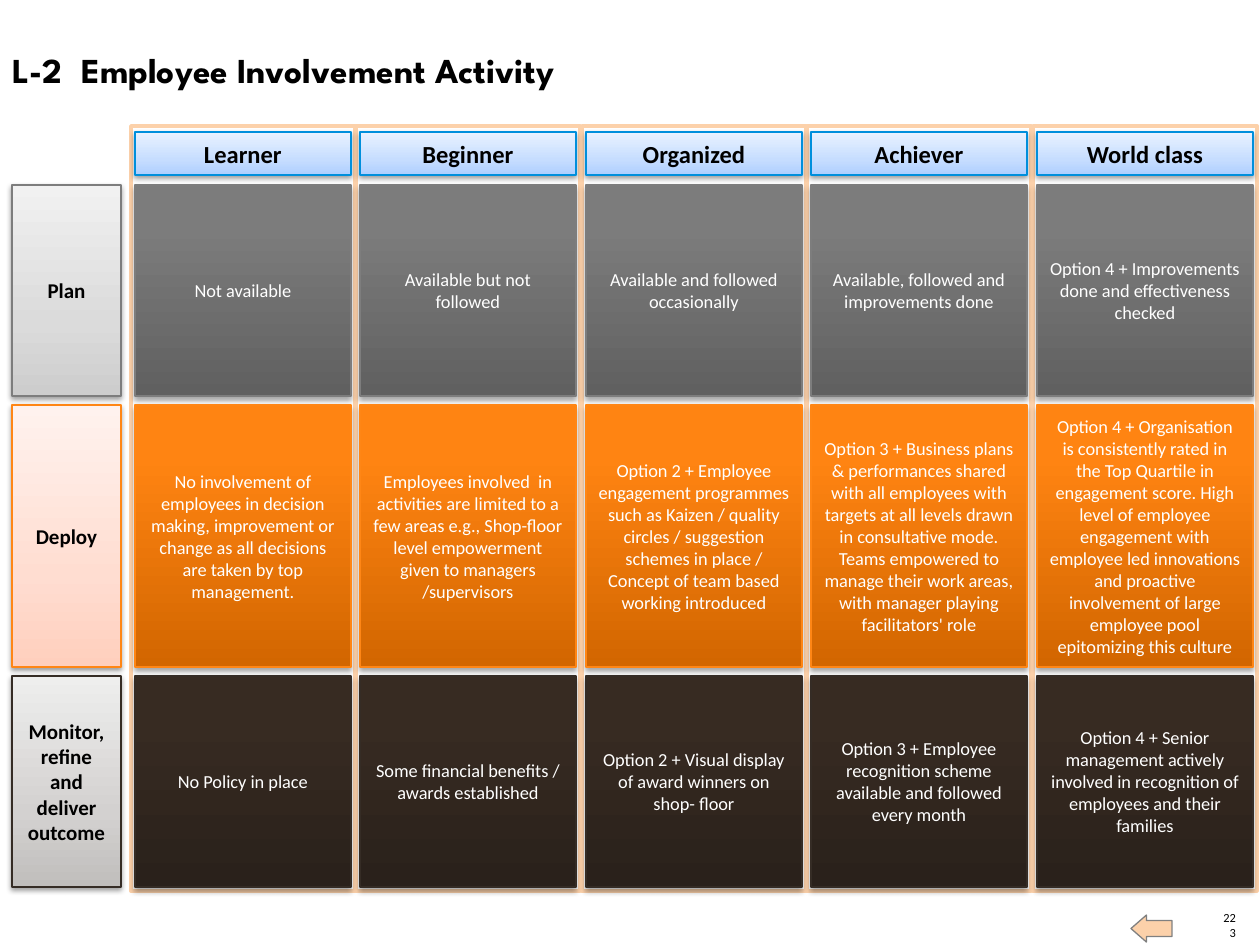
from dataclasses import dataclass
from typing import NamedTuple

from lxml import etree
from pptx import Presentation
from pptx.dml.color import RGBColor
from pptx.enum.shapes import MSO_SHAPE
from pptx.enum.text import MSO_ANCHOR, MSO_AUTO_SIZE, PP_ALIGN
from pptx.oxml.ns import qn
from pptx.util import Pt

RECTANGLE = MSO_SHAPE.RECTANGLE
RIGHT_ARROW = MSO_SHAPE.RIGHT_ARROW
TOP, MIDDLE, BOTTOM = MSO_ANCHOR.TOP, MSO_ANCHOR.MIDDLE, MSO_ANCHOR.BOTTOM
LEFT, CENTER, RIGHT = PP_ALIGN.LEFT, PP_ALIGN.CENTER, PP_ALIGN.RIGHT
NO_AUTOFIT = MSO_AUTO_SIZE.NONE

EMU_PER_PX = 914400 / 126
PAGE_WIDTH, PAGE_HEIGHT = 1260, 945

BLACK = RGBColor(0x00, 0x00, 0x00)
WHITE = RGBColor(0xFF, 0xFF, 0xFF)
PEACH = RGBColor(0xFC, 0xD1, 0xAA)
ARROW_GRAY = RGBColor(0x80, 0x80, 0x80)
GRAY = RGBColor(0x7D, 0x7D, 0x7D)
ORANGE = RGBColor(0xFF, 0x86, 0x15)
BROWN = RGBColor(0x35, 0x2C, 0x25)
BLUE = RGBColor(0x00, 0x8F, 0xDC)


class Box(NamedTuple):
    left: int
    top: int
    width: int
    height: int


class TextStyle(NamedTuple):
    size: float
    color: RGBColor
    bold: bool = False
    font: str = "Calibri"


class Shadow(NamedTuple):
    opacity: int
    distance: float


@dataclass(frozen=True)
class TileStyle:
    """Gradient colours run from the bottom of the tile to its top."""
    colors: tuple[RGBColor, RGBColor, RGBColor]
    middle_stop: int
    line: RGBColor
    shadow: Shadow
    text: TextStyle


@dataclass(frozen=True)
class Row:
    label: str
    top: int
    height: int
    label_style: TileStyle
    cell_style: TileStyle
    cells: tuple[str, ...]


LABEL_TEXT = TextStyle(12, BLACK, True)
HEADER_TEXT = TextStyle(14, BLACK, True)
CELL_TEXT = TextStyle(10.5, WHITE)


def light_style(bottom: str, middle: str, top: str, line: RGBColor, text: TextStyle) -> TileStyle:
    colors = tuple(map(RGBColor.from_string, (bottom, middle, top)))
    return TileStyle(colors, 35, line, Shadow(38, 1.6), text)


def dark_style(bottom: str, middle: str, top: str, line: RGBColor) -> TileStyle:
    colors = tuple(map(RGBColor.from_string, (bottom, middle, top)))
    return TileStyle(colors, 80, line, Shadow(35, 1.8), CELL_TEXT)


HEADER_STYLE = light_style("AECFFF", "C6DDFF", "E9F2FF", BLUE, HEADER_TEXT)
HEADERS = ("Learner", "Beginner", "Organized", "Achiever", "World class")
ROWS = (
    Row("Plan", 185, 211,
        light_style("CDCDCD", "DBDBDB", "F1F1F1", GRAY, LABEL_TEXT),
        dark_style("606060", "7C7C7C", "7D7D7D", GRAY),
        ("Not available",
         "Available but not followed",
         "Available and followed occasionally",
         "Available, followed and improvements done",
         "Option 4 + Improvements done and effectiveness checked")),
    Row("Deploy", 405, 262,
        light_style("FFCFBD", "FFDDD1", "FFF2EE", ORANGE, LABEL_TEXT),
        dark_style("D26600", "FF8412", "FF8514", ORANGE),
        ("No involvement of employees in decision making, improvement or change as all "
         "decisions are taken by top management.",
         "Employees involved  in activities are limited to a few areas e.g., Shop-floor level "
         "empowerment given to managers /supervisors",
         "Option 2 + Employee engagement programmes such as Kaizen / quality circles / "
         "suggestion schemes in place / Concept of team based working introduced",
         "Option 3 + Business plans & performances shared with all employees with targets at "
         "all levels drawn in consultative mode. Teams empowered to manage their work areas, "
         "with manager playing facilitators' role",
         "Option 4 + Organisation is consistently rated in the Top Quartile in engagement "
         "score. High level of employee engagement with employee led innovations and "
         "proactive involvement of large employee pool epitomizing this culture")),
    Row("Monitor, refine and deliver outcome", 676, 211,
        light_style("C0BEBC", "D3D1D0", "EEEEED", BROWN, LABEL_TEXT),
        dark_style("2A211B", "372B22", "372B22", BROWN),
        ("No Policy in place",
         "Some financial benefits / awards established",
         "Option 2 + Visual display of award winners on shop- floor",
         "Option 3 + Employee recognition scheme available and followed every month",
         "Option 4 + Senior management actively involved in recognition of employees and "
         "their families")),
)
LABEL_LEFT, LABEL_WIDTH = 12, 109
TILE_WIDTH = 216
TILE_LEFTS = [135 + 451 * column // 2 for column in range(len(HEADERS))]
HEADER_TOP, HEADER_HEIGHT = 132, 43
PANEL_TOP, PANEL_WIDTH, PANEL_HEIGHT, PANEL_MARGIN = 126, 224, 765, 4


def emu(px: int) -> int:
    return round(px * EMU_PER_PX)


def place(box: Box) -> list[int]:
    return [emu(px) for px in box]


def write(shape, text: str, style: TextStyle, align, anchor) -> None:
    frame = shape.text_frame
    frame.text = text
    frame.word_wrap = True
    frame.auto_size = NO_AUTOFIT
    frame.vertical_anchor = anchor
    para = frame.paragraphs[0]
    para.alignment = align
    for span in para.runs:
        span.font.name = style.font
        span.font.size = Pt(style.size)
        span.font.bold = style.bold
        span.font.color.rgb = style.color


def add_preset(page, preset, box: Box, fill: RGBColor, line: RGBColor, line_width: float):
    shape = page.shapes.add_shape(preset, *place(box))
    shape.shadow.inherit = False
    shape.fill.solid()
    shape.fill.fore_color.rgb = fill
    shape.line.color.rgb = line
    shape.line.width = Pt(line_width)
    return shape


def apply_gradient(shape, style: TileStyle) -> None:
    shape.fill.gradient()
    shape.fill.gradient_angle = 90
    stops = shape._element.spPr.find(qn("a:gradFill")).find(qn("a:gsLst"))
    for stop in list(stops):
        stops.remove(stop)
    for position, color in zip((0, style.middle_stop, 100), style.colors):
        stop = etree.SubElement(stops, qn("a:gs"), pos=str(position * 1000))
        etree.SubElement(stop, qn("a:srgbClr"), val=str(color))


def apply_shadow(shape, shadow: Shadow) -> None:
    effects = shape._element.spPr.find(qn("a:effectLst"))
    outer = etree.SubElement(effects, qn("a:outerShdw"), blurRad=str(Pt(3.1)),
                             dist=str(Pt(shadow.distance)), dir="5400000", rotWithShape="0")
    color = etree.SubElement(outer, qn("a:srgbClr"), val=str(BLACK))
    etree.SubElement(color, qn("a:alpha"), val=str(shadow.opacity * 1000))


def add_tile(page, box: Box, text: str, style: TileStyle) -> None:
    tile = add_preset(page, RECTANGLE, box, WHITE, style.line, 0.75)
    apply_gradient(tile, style)
    apply_shadow(tile, style.shadow)
    write(tile, text, style.text, CENTER, MIDDLE)


def add_title(page) -> None:
    title = page.shapes.title
    title.left, title.top, title.width, title.height = place(Box(0, 42, 1084, 55))
    write(title, "L-2  Employee Involvement Activity",
          TextStyle(20, BLACK, True, "League Spartan"), LEFT, TOP)


def add_footer(page) -> None:
    number = page.shapes.add_textbox(*place(Box(1221, 925, 15, 15)))
    frame = number.text_frame
    frame.margin_left = frame.margin_top = frame.margin_right = frame.margin_bottom = 0
    write(number, "223", TextStyle(7.1, BLACK), RIGHT, BOTTOM)
    arrow = add_preset(page, RIGHT_ARROW, Box(1131, 915, 41, 27), PEACH, ARROW_GRAY, 0.75)
    arrow.rotation = 180
    arrow.adjustments[0], arrow.adjustments[1] = 0.59, 0.57


def main() -> None:
    deck = Presentation()
    deck.slide_width, deck.slide_height = emu(PAGE_WIDTH), emu(PAGE_HEIGHT)
    page = deck.slides.add_slide(deck.slide_layouts[5])
    add_footer(page)
    add_title(page)
    for left in TILE_LEFTS:
        panel = Box(left - PANEL_MARGIN, PANEL_TOP, PANEL_WIDTH, PANEL_HEIGHT)
        add_preset(page, RECTANGLE, panel, WHITE, PEACH, 2)
    for row in ROWS:
        label_box = Box(LABEL_LEFT, row.top, LABEL_WIDTH, row.height)
        add_tile(page, label_box, row.label, row.label_style)
        for left, text in zip(TILE_LEFTS, row.cells):
            add_tile(page, Box(left, row.top, TILE_WIDTH, row.height), text, row.cell_style)
    for left, text in zip(TILE_LEFTS, HEADERS):
        add_tile(page, Box(left, HEADER_TOP, TILE_WIDTH, HEADER_HEIGHT), text, HEADER_STYLE)
    deck.save("out.pptx")


if __name__ == "__main__":
    main()
